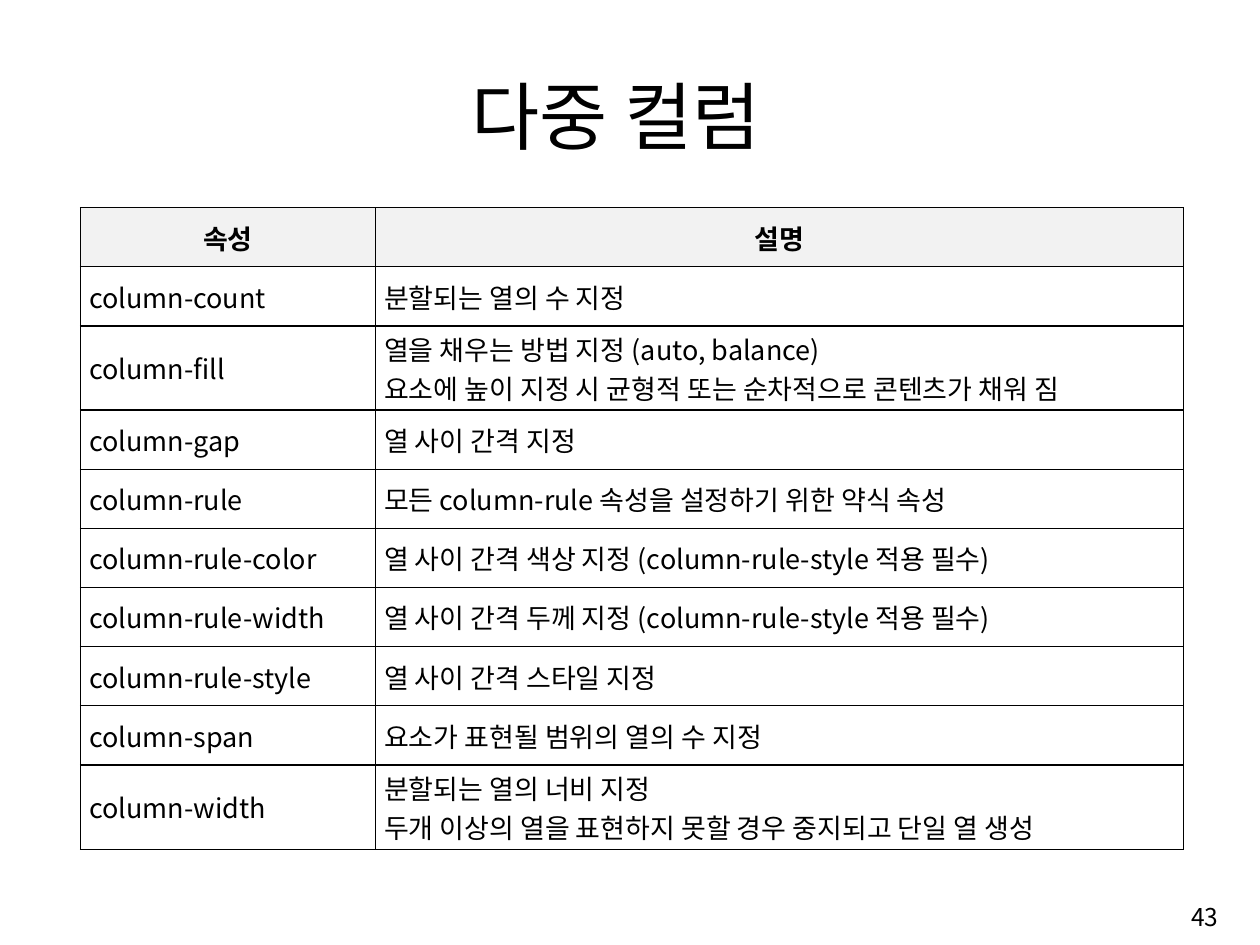
from dataclasses import dataclass

from lxml import etree
from pptx import Presentation
from pptx.dml.color import RGBColor
from pptx.enum import text as t
from pptx.oxml import ns
from pptx.util import Inches, Pt


@dataclass(frozen=True)
class Theme:
    font: str = "Noto Sans CJK KR"
    ink: str = "000000"
    head: str = "F2F2F2"
    title: float = 55
    body: float = 20
    page: float = 18.2
    rule: float = 1


THEME = Theme()
ALIGN = t.PP_ALIGN
ANCHOR = t.MSO_ANCHOR

ROWS = [
    ("속성", "설명"),
    ("column-count", "분할되는 열의 수 지정"),
    ("column-fill", "열을 채우는 방법 지정 (auto, balance)\n"
     "요소에 높이 지정 시 균형적 또는 순차적으로 콘텐츠가 채워 짐"),
    ("column-gap", "열 사이 간격 지정"),
    ("column-rule", "모든 column-rule 속성을 설정하기 위한 약식 속성"),
    ("column-rule-color", "열 사이 간격 색상 지정 (column-rule-style 적용 필수)"),
    ("column-rule-width", "열 사이 간격 두께 지정 (column-rule-style 적용 필수)"),
    ("column-rule-style", "열 사이 간격 스타일 지정"),
    ("column-span", "요소가 표현될 범위의 열의 수 지정"),
    ("column-width", "분할되는 열의 너비 지정\n"
     "두개 이상의 열을 표현하지 못할 경우 중지되고 단일 열 생성"),
]


def write(frame, words, size, align, bold=False):
    frame.word_wrap = True
    for i, line in enumerate(words.split("\n")):
        para = frame.add_paragraph() if i else frame.paragraphs[0]
        para.alignment = align
        run = para.add_run()
        run.text = line
        font = run.font
        font.name = THEME.font
        font.size = Pt(size)
        font.bold = bold
        font.color.rgb = RGBColor.from_string(THEME.ink)
        etree.SubElement(font._element, ns.qn("a:ea"), typeface=THEME.font)


def label(slide, box, words, size, align, anchor):
    frame = slide.shapes.add_textbox(*map(Inches, box)).text_frame
    frame.vertical_anchor = anchor
    write(frame, words, size, align)


def border(cell):
    props = cell._tc.get_or_add_tcPr()
    for i, side in enumerate(("lnL", "lnR", "lnT", "lnB")):
        line = etree.Element(ns.qn(f"a:{side}"), w=str(Pt(THEME.rule)))
        fill = etree.SubElement(line, ns.qn("a:solidFill"))
        etree.SubElement(fill, ns.qn("a:srgbClr"), val=THEME.ink)
        props.insert(i, line)


def grid(slide, box, rows, split):
    left, top, width, height = box
    table = slide.shapes.add_table(len(rows), 2, *map(Inches, box)).table
    table.first_row = table.horz_banding = False
    for col, size in zip(table.columns, (split, width - split)):
        col.width = Inches(size)
    for r, row in enumerate(rows):
        table.rows[r].height = Inches(height / len(rows))
        for c, words in enumerate(row):
            cell = table.cell(r, c)
            cell.vertical_anchor = ANCHOR.MIDDLE
            cell.margin_left = cell.margin_right = Inches(0.09)
            cell.margin_top = cell.margin_bottom = Inches(0.03)
            if r == 0:
                cell.fill.solid()
                cell.fill.fore_color.rgb = RGBColor.from_string(THEME.head)
            else:
                cell.fill.background()
            border(cell)
            align = ALIGN.JUSTIFY if r else ALIGN.CENTER
            write(cell.text_frame, words, THEME.body, align, bold=r == 0)


def main():
    deck = Presentation()
    deck.slide_width, deck.slide_height = Inches(12.99), Inches(9.74)
    slide = deck.slides.add_slide(deck.slide_layouts[6])
    grid(slide, (0.83, 2.14, 11.37, 6.1), ROWS, 3.04)
    label(slide, (9.98, 9.15, 2.68, 0.6), "43", THEME.page,
          ALIGN.RIGHT, ANCHOR.MIDDLE)
    label(slide, (1.05, 0.61, 10.61, 1.08), "다중 컬럼", THEME.title,
          ALIGN.CENTER, ANCHOR.BOTTOM)
    deck.save("out.pptx")


if __name__ == "__main__":
    main()
